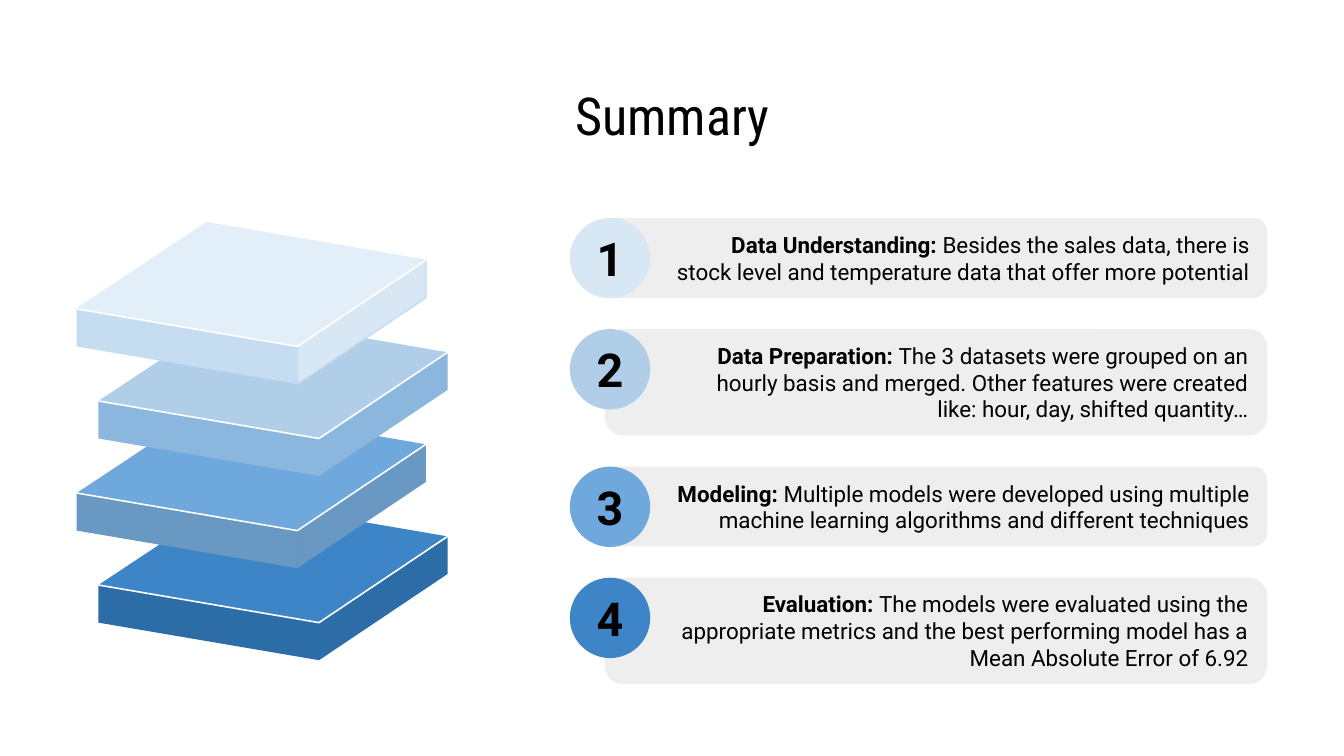
"""Build a summary slide with a stack of four slabs and four numbered cards."""
from pptx import Presentation
from pptx.dml.color import RGBColor
from pptx.enum.shapes import MSO_SHAPE
from pptx.enum.text import MSO_ANCHOR, MSO_AUTO_SIZE, PP_ALIGN
from pptx.util import Cm, Pt

ROUND, OVAL = MSO_SHAPE.ROUNDED_RECTANGLE, MSO_SHAPE.OVAL
MIDDLE, FIXED = MSO_ANCHOR.MIDDLE, MSO_AUTO_SIZE.NONE
CENTER, RIGHT = PP_ALIGN.CENTER, PP_ALIGN.RIGHT

COLORS = {
    "text": "000000", "card": "EEEEEE", "edge": "FFFFFF",
    "disc": ["D8E7F4", "B1CEE8", "6FA8DC", "3D85C6"],
    "top": ["E2EEF8", "B1CEE8", "6FA8DC", "3D85C6"],
    "front": ["C5DCF1", "8BB6DD", "6999C3", "2D6DA7"],
    "side": ["D8E7F4", "8BB6DD", "6999C3", "2D6DA7"],
}
CARDS = [
    ("Data Understanding: ", "Besides the sales data, there is stock level and "
     "temperature data that offer more potential", 1.51),
    ("Data Preparation: ", "The 3 datasets were grouped on an hourly basis and merged. "
     "Other features were created like: hour, day, shifted quantity…", 2.01),
    ("Modeling: ", "Multiple models were developed using multiple machine learning "
     "algorithms and different techniques", 1.51),
    ("Evaluation: ", "The models were evaluated using the appropriate metrics and "
     "the best performing model has a Mean Absolute Error of 6.92", 2.01),
]


def write(shape, runs, size, align, font="Roboto", inset=0.25):
    frame = shape.text_frame
    frame.word_wrap = True
    frame.auto_size = FIXED
    frame.vertical_anchor = MIDDLE
    frame.margin_left = Cm(inset)
    frame.margin_right = frame.margin_top = frame.margin_bottom = Cm(0.25)
    para = frame.paragraphs[0]
    para.alignment = align
    for text, bold in runs:
        run = para.add_run()
        run.text = text
        run.font.name = font
        run.font.size = Pt(size)
        run.font.bold = bold
        run.font.color.rgb = RGBColor.from_string(COLORS["text"])


def paint(shape, fill=None, line=None, width=0.75):
    shape.shadow.inherit = False
    if fill:
        shape.fill.solid()
        shape.fill.fore_color.rgb = RGBColor.from_string(fill)
    else:
        shape.fill.background()
    if line:
        shape.line.color.rgb = RGBColor.from_string(line)
        shape.line.width = Pt(width)
    else:
        shape.line.fill.background()


deck = Presentation()
deck.slide_width, deck.slide_height = Cm(25.4), Cm(14.29)
slide = deck.slides.add_slide(deck.slide_layouts[5])
shapes = slide.shapes

title = shapes.title
title.left, title.top, title.width, title.height = Cm(7.94), Cm(1.5), Cm(9.53), Cm(1.35)
write(title, [("Summary", False)], 28, CENTER, "Roboto Condensed")

west, south, east, north = (0, 1.63), (4.17, 2.34), (6.6, 0.71), (2.46, 0)
low_west, low_south, low_east = [(x, y + 0.71) for x, y in (west, south, east)]
faces = [
    ("side", [south, east, low_east, low_south]),
    ("top", [south, east, north, west]),
    ("front", [west, low_west, low_south, south]),
    ("edge", [west, south, east]),
]
for row in reversed(range(4)):
    left, top = 1.45 + 0.41 * (row % 2), 4.21 + 1.74 * row
    for face, spots in faces:
        points = [(Cm(left + x), Cm(top + y)) for x, y in spots]
        pen = shapes.build_freeform(*points[0])
        pen.add_line_segments(points[1:], close=face != "edge")
        part = pen.convert_to_shape()
        if face == "edge":
            paint(part, line=COLORS["edge"], width=0.85)
        else:
            rim = {"side": "C5DCF1", "top": "E2EEF8"}.get(face) if row == 0 else None
            paint(part, COLORS[face][row], rim)

top = 4.12
for row, (head, body, height) in enumerate(CARDS):
    card = shapes.add_shape(ROUND, Cm(11.43), Cm(top), Cm(12.52), Cm(height))
    card.adjustments[0] = 0.17
    paint(card, COLORS["card"])
    write(card, [(head, True), (body, False)], 12, RIGHT, inset=1.27)
    disc = shapes.add_shape(OVAL, Cm(10.77), Cm(top), Cm(1.52), Cm(1.52))
    paint(disc, COLORS["disc"][row])
    write(disc, [(str(row + 1), True)], 25, CENTER)
    top += height + 0.59

deck.save("out.pptx")
